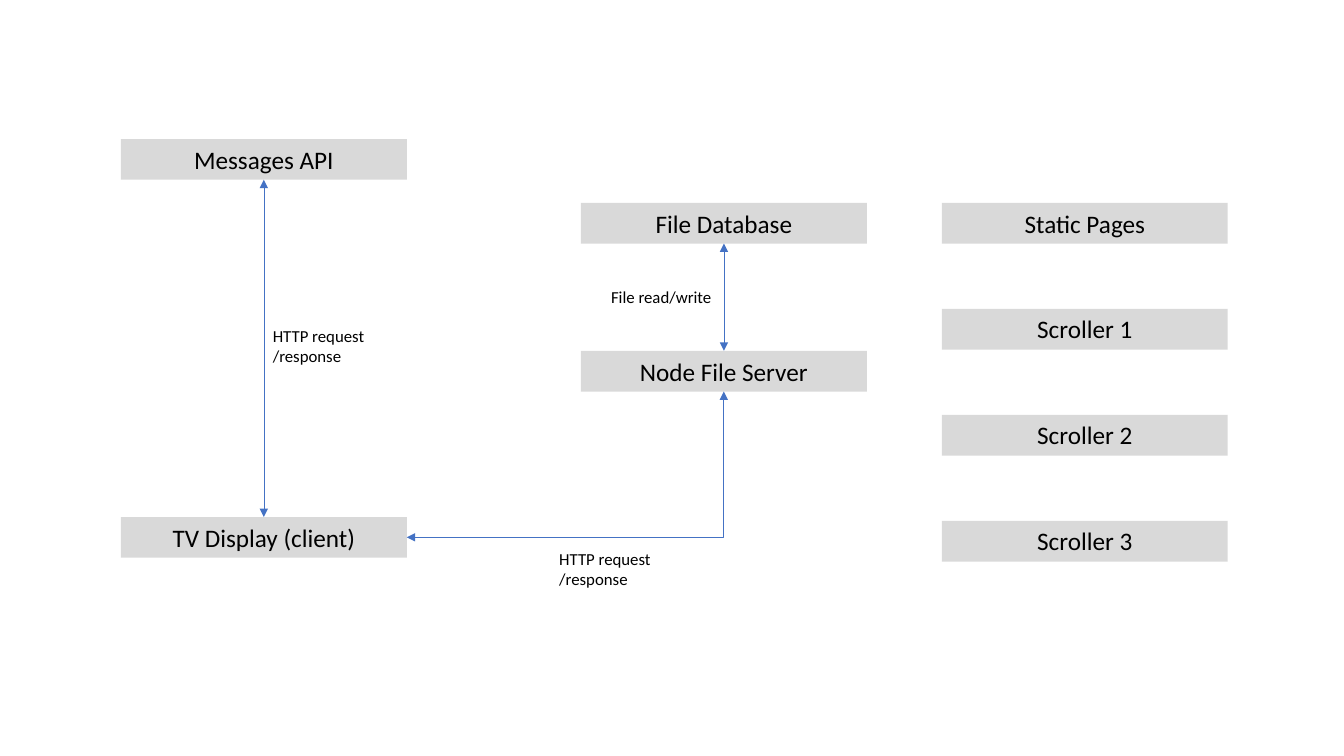
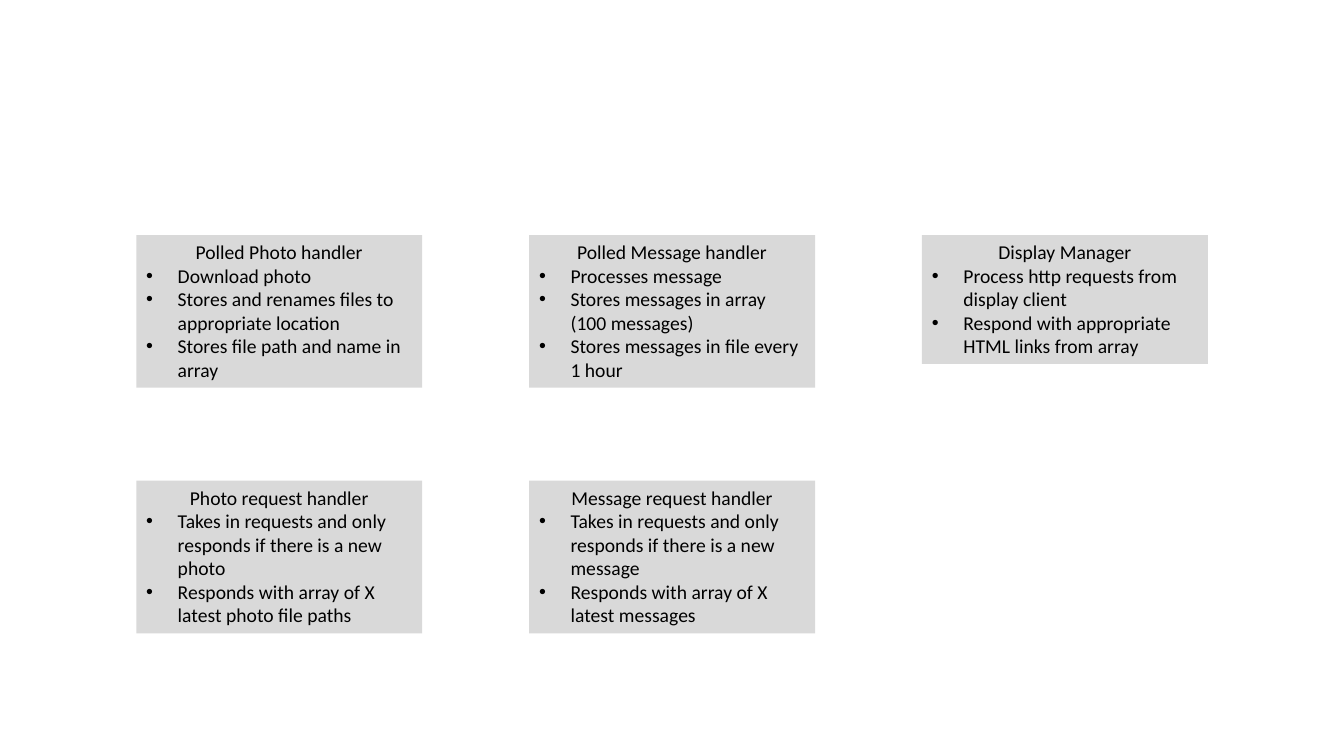
from dataclasses import dataclass

from lxml import etree
from pptx import Presentation
from pptx.dml.color import RGBColor
from pptx.enum.shapes import MSO_CONNECTOR, MSO_SHAPE
from pptx.enum.text import MSO_ANCHOR, MSO_AUTO_SIZE, PP_ALIGN
from pptx.oxml.ns import qn
from pptx.util import Pt

RECTANGLE = MSO_SHAPE.RECTANGLE
STRAIGHT, ELBOW = MSO_CONNECTOR.STRAIGHT, MSO_CONNECTOR.ELBOW
TOP_ANCHOR = MSO_ANCHOR.TOP
FIT_SHAPE = MSO_AUTO_SIZE.SHAPE_TO_FIT_TEXT
LEFT, CENTER = PP_ALIGN.LEFT, PP_ALIGN.CENTER

# Connection sites of a rectangle
TOP_SITE, BOTTOM_SITE, RIGHT_SITE = 0, 2, 3


@dataclass(frozen=True)
class Theme:
    font: str = "Calibri"
    text: RGBColor = RGBColor(0x00, 0x00, 0x00)
    box: RGBColor = RGBColor(0xD9, 0xD9, 0xD9)
    arrow: RGBColor = RGBColor(0x44, 0x72, 0xC4)
    box_size: float = 18
    card_size: float = 14
    label_size: float = 12
    arrow_width: float = 0.5
    bullet_indent: float = 22.5
    box_width: float = 204.2
    box_height: float = 29.1


class Deck:
    def __init__(self, theme):
        self.theme = theme
        self.presentation = Presentation()
        self.presentation.slide_width = Pt(960)
        self.presentation.slide_height = Pt(540)
        self.slide = None

    def add_slide(self):
        blank_layout = self.presentation.slide_layouts[6]
        self.slide = self.presentation.slides.add_slide(blank_layout)

    def set_text(self, shape, lines, size, alignment):
        frame = shape.text_frame
        frame.word_wrap = True
        frame.auto_size = FIT_SHAPE
        frame.vertical_anchor = TOP_ANCHOR
        frame.text = "\n".join(lines)
        for paragraph in frame.paragraphs:
            paragraph.alignment = alignment
            paragraph.font.name = self.theme.font
            paragraph.font.size = Pt(size)
            paragraph.font.color.rgb = self.theme.text
        return frame.paragraphs

    def rectangle(self, left, top, height):
        shape = self.slide.shapes.add_shape(
            RECTANGLE, Pt(left), Pt(top), Pt(self.theme.box_width), Pt(height))
        shape.shadow.inherit = False
        shape.fill.solid()
        shape.fill.fore_color.rgb = self.theme.box
        shape.line.fill.background()
        return shape

    def box(self, left, top, text):
        shape = self.rectangle(left, top, self.theme.box_height)
        self.set_text(shape, [text], self.theme.box_size, CENTER)
        return shape

    def card(self, left, top, height, heading, points):
        shape = self.rectangle(left, top, height)
        paragraphs = self.set_text(shape, [heading, *points], self.theme.card_size, LEFT)
        paragraphs[0].alignment = CENTER
        for paragraph in paragraphs[1:]:
            self.add_bullet(paragraph)

    def add_bullet(self, paragraph):
        indent = Pt(self.theme.bullet_indent)
        properties = paragraph._p.get_or_add_pPr()
        properties.set("marL", str(indent))
        properties.set("indent", str(-indent))
        # Bullet elements come before the paragraph's font
        bullet_font = etree.Element(qn("a:buFont"), typeface="Arial")
        bullet = etree.Element(qn("a:buChar"), char="•")
        properties.insert(0, bullet_font)
        properties.insert(1, bullet)

    def label(self, left, top, width, height, lines):
        shape = self.slide.shapes.add_textbox(Pt(left), Pt(top), Pt(width), Pt(height))
        self.set_text(shape, lines, self.theme.label_size, LEFT)

    def arrow(self, start, start_site, end, end_site, kind=STRAIGHT):
        connector = self.slide.shapes.add_connector(kind, 0, 0, 0, 0)
        connector.begin_connect(start, start_site)
        connector.end_connect(end, end_site)
        connector.line.color.rgb = self.theme.arrow
        connector.line.width = Pt(self.theme.arrow_width)
        properties = connector._element.spPr
        if kind == ELBOW:
            # One corner only
            properties.find(qn("a:prstGeom")).set("prst", "bentConnector2")
        line = properties.find(qn("a:ln"))
        for end_name in ("a:headEnd", "a:tailEnd"):
            etree.SubElement(line, qn(end_name), type="triangle")
        etree.SubElement(properties, qn("a:effectLst"))


deck = Deck(Theme())

# Slide 1: system overview
deck.add_slide()
client_left, server_left, pages_left = 86.4, 415, 672.8
pages_top, pages_step = 144.9, 75.7

node_server = deck.box(server_left, 250.6, "Node File Server")
display_client = deck.box(client_left, 369.3, "TV Display (client)")
message_api = deck.box(client_left, 99.3, "Messages API")
file_database = deck.box(server_left, pages_top, "File Database")
for row, page in enumerate(["Static Pages", "Scroller 1", "Scroller 2", "Scroller 3"]):
    deck.box(pages_left, pages_top + row * pages_step, page)

# Links between the parts
http_lines = ["HTTP request", "/response"]
deck.label(187.8, 229.2, 141, 36.3, http_lines)
deck.label(392.4, 388.1, 141, 36.3, http_lines)
deck.label(429.4, 201.4, 88, 21.8, ["File read/write"])
deck.arrow(display_client, RIGHT_SITE, node_server, BOTTOM_SITE, ELBOW)
deck.arrow(display_client, TOP_SITE, message_api, BOTTOM_SITE)
deck.arrow(node_server, TOP_SITE, file_database, BOTTOM_SITE)

# Slide 2: handlers on a grid
deck.add_slide()
cards_left, cards_top = 97.4, 167.9
column_step, row_step = 280.6, 175.5
tall, short = 109, 92.1
handlers = [
    (0, 0, tall, "Polled Photo handler",
     ["Download photo",
      "Stores and renames files to appropriate location",
      "Stores file path and name in array"]),
    (1, 0, tall, "Polled Message handler",
     ["Processes message",
      "Stores messages in array (100 messages)",
      "Stores messages in file every 1 hour"]),
    (2, 0, short, "Display Manager",
     ["Process http requests from display client",
      "Respond with appropriate HTML links from array"]),
    (0, 1, tall, "Photo request handler",
     ["Takes in requests and only responds if there is a new photo",
      "Responds with array of X latest photo file paths"]),
    (1, 1, tall, "Message request handler",
     ["Takes in requests and only responds if there is a new message",
      "Responds with array of X latest messages"]),
]
for column, row, height, heading, points in handlers:
    deck.card(cards_left + column * column_step, cards_top + row * row_step,
              height, heading, points)

deck.presentation.save("out.pptx")
